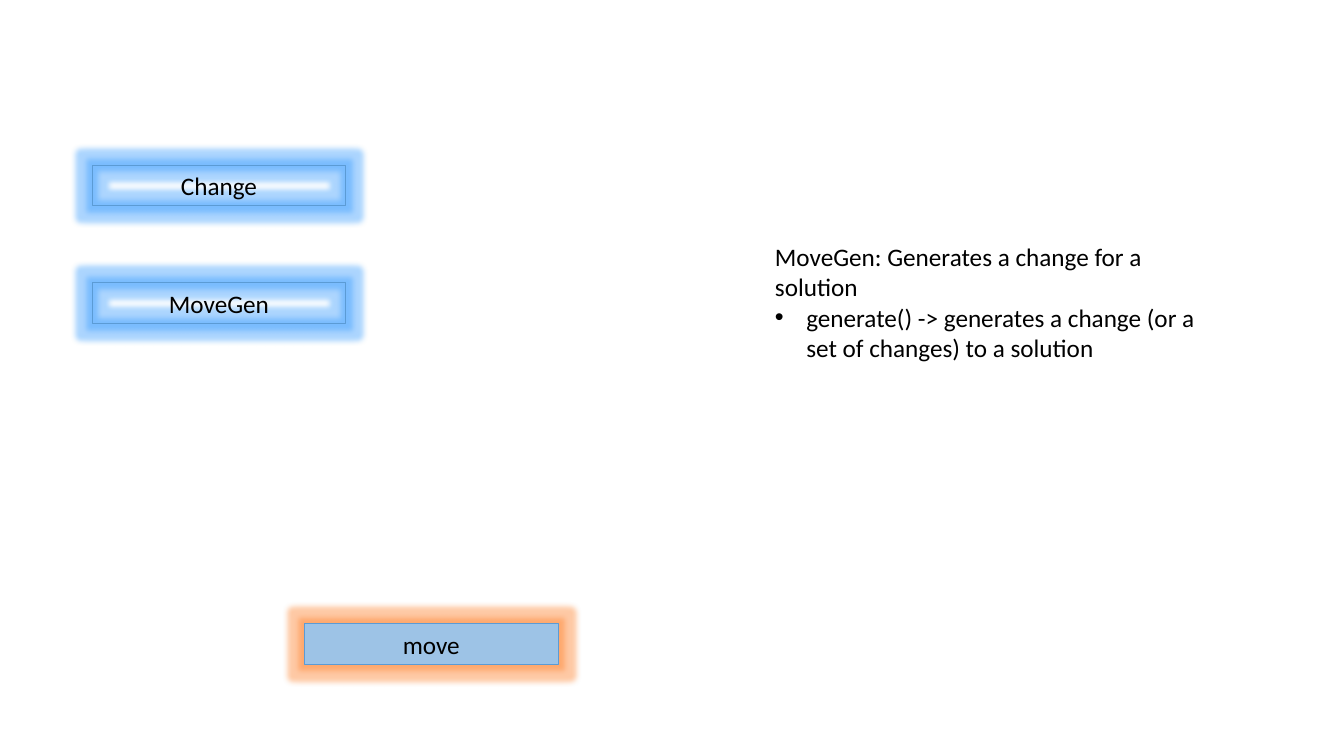
"""Build a slide with three glowing boxes and a description of MoveGen."""
from lxml import etree
from pptx import Presentation
from pptx import util as u
from pptx.dml.color import RGBColor
from pptx.enum import shapes, text
from pptx.oxml.ns import qn

COLORS = {"line": "5B9BD5", "fill": "9DC3E6", "text": "000000",
          "blue_glow": "2F98FF", "orange_glow": "FF7A1E"}
FONT, SIZE = "Calibri", u.Pt(18)
BOX_W, BOX_H = u.Cm(6.4), u.Cm(1.02)
BOXES = [
    ("MoveGen", 2.32, 7.13, None, "blue_glow"),
    ("Change", 2.32, 4.17, None, "blue_glow"),
    ("move", 7.67, 15.72, "fill", "orange_glow"),
]
NOTE_AT = (19.28, 5.96, 11.79, 3.33)
NOTE = [
    ("MoveGen: Generates a change for a solution", False),
    ("generate() -> generates a change (or a set of changes) to a solution", True),
]
INDENT = u.Cm(0.79)


def rgb(name):
    return RGBColor.from_string(COLORS[name])


def add_run(p, words):
    r = p.add_run()
    r.text = words
    r.font.name, r.font.size = FONT, SIZE
    r.font.color.rgb = rgb("text")


def add_glow(sp, color):
    effects = sp._element.spPr.find(qn("a:effectLst"))
    glow = etree.SubElement(effects, qn("a:glow"), rad=str(u.Pt(8)))
    clr = etree.SubElement(glow, qn("a:srgbClr"), val=COLORS[color])
    etree.SubElement(clr, qn("a:alpha"), val="40000")


def add_box(s, words, left, top, fill, glow):
    sp = s.shapes.add_shape(shapes.MSO_SHAPE.RECTANGLE, u.Cm(left), u.Cm(top), BOX_W, BOX_H)
    if fill:
        sp.fill.solid()
        sp.fill.fore_color.rgb = rgb(fill)
    else:
        sp.fill.background()
    sp.line.color.rgb = rgb("line")
    sp.line.width = u.Pt(0.75)
    sp.shadow.inherit = False
    add_glow(sp, glow)
    tf = sp.text_frame
    tf.word_wrap = True
    tf.auto_size = text.MSO_AUTO_SIZE.SHAPE_TO_FIT_TEXT
    tf.vertical_anchor = text.MSO_ANCHOR.MIDDLE
    p = tf.paragraphs[0]
    p.alignment = text.PP_ALIGN.CENTER
    add_run(p, words)


def add_note(s):
    tf = s.shapes.add_textbox(*map(u.Cm, NOTE_AT)).text_frame
    tf.word_wrap = True
    tf.auto_size = text.MSO_AUTO_SIZE.SHAPE_TO_FIT_TEXT
    for i, (words, bullet) in enumerate(NOTE):
        p = tf.add_paragraph() if i else tf.paragraphs[0]
        if bullet:
            pPr = p._p.get_or_add_pPr()
            pPr.set("marL", str(INDENT))
            pPr.set("indent", str(-INDENT))
            etree.SubElement(pPr, qn("a:buFont"), typeface="Arial")
            etree.SubElement(pPr, qn("a:buChar"), char="•")
        add_run(p, words)


def main():
    prs = Presentation()
    prs.slide_width, prs.slide_height = u.Cm(33.87), u.Cm(19.05)
    s = prs.slides.add_slide(prs.slide_layouts[6])
    for box in BOXES:
        add_box(s, *box)
    add_note(s)
    prs.save("out.pptx")


if __name__ == "__main__":
    main()
